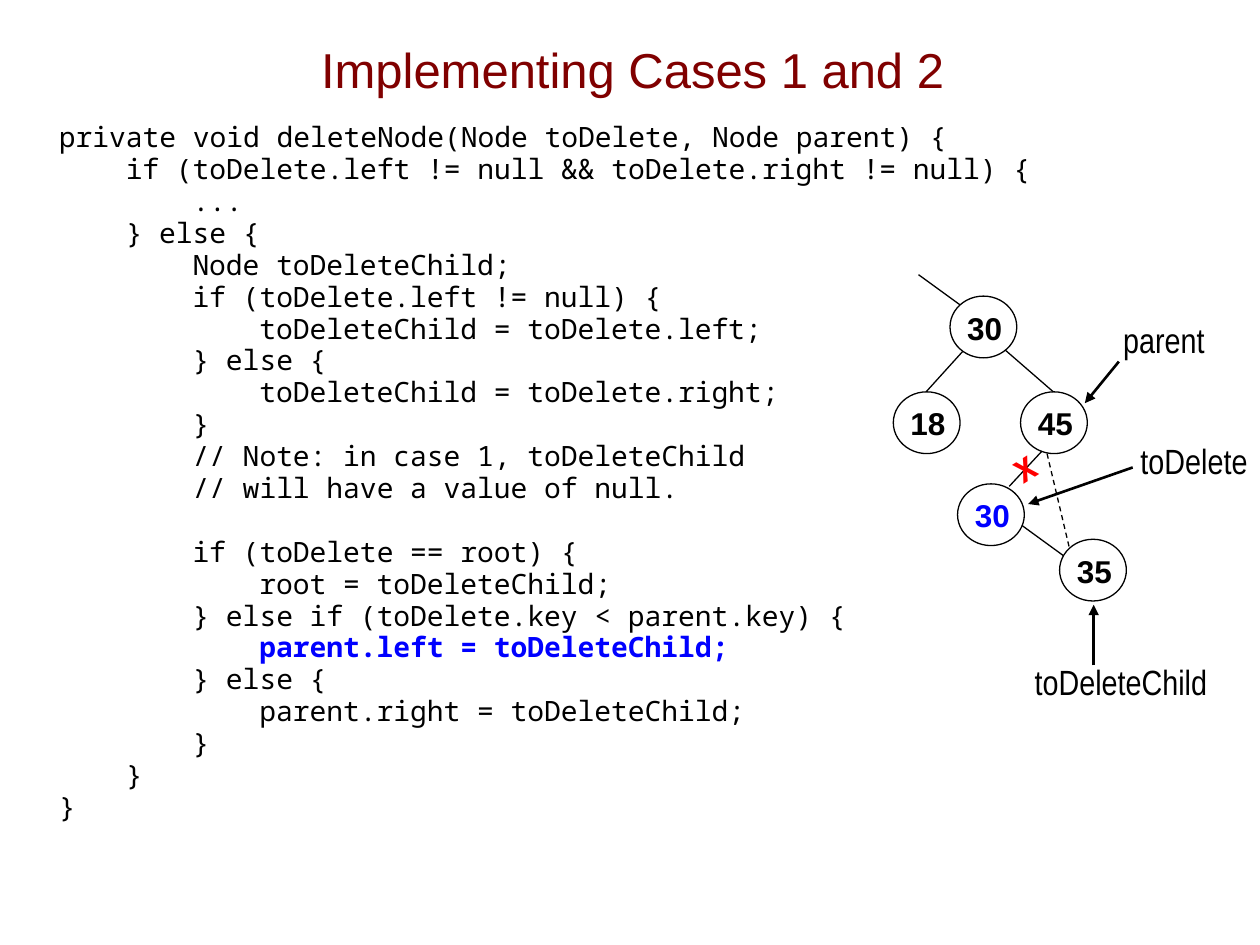
from lxml import etree
from pptx import Presentation
from pptx.dml.color import RGBColor
from pptx.enum.dml import MSO_LINE
from pptx.enum.shapes import MSO_CONNECTOR, MSO_SHAPE
from pptx.enum.text import MSO_ANCHOR, MSO_AUTO_SIZE, PP_ALIGN
from pptx.oxml.ns import qn
from pptx.util import Inches, Pt

COLORS = {"title": "800000", "ink": "000000", "paper": "FFFFFF",
          "focus": "0000FF", "cross": "FF0000"}
INDENT = 0.53
NODE_WIDTH, NODE_HEIGHT = 0.53, 0.49
HIGHLIGHT = "parent.left = toDeleteChild;"
AFTER_GAP = "if (toDelete == root) {"

CODE = [
    (0, "private void deleteNode(Node toDelete, Node parent) {"),
    (1, "if (toDelete.left != null && toDelete.right != null) {"),
    (2, "..."),
    (1, "} else {"),
    (2, "Node toDeleteChild;"),
    (2, "if (toDelete.left != null) {"),
    (3, "toDeleteChild = toDelete.left;"),
    (2, "} else {"),
    (3, "toDeleteChild = toDelete.right;"),
    (2, "}"),
    (2, "// Note: in case 1, toDeleteChild"),
    (2, "// will have a value of null."),
    (2, AFTER_GAP),
    (3, "root = toDeleteChild;"),
    (2, "} else if (toDelete.key < parent.key) {"),
    (3, HIGHLIGHT),
    (2, "} else {"),
    (3, "parent.right = toDeleteChild;"),
    (2, "}"),
    (1, "}"),
    (0, "}"),
]
NODES = [
    ("30", 7.54, 2.35, "ink"),
    ("18", 7.09, 3.11, "ink"),
    ("45", 8.1, 3.11, "ink"),
    ("35", 8.41, 4.28, "ink"),
    ("30", 7.6, 3.84, "focus"),
]
EDGES = [
    (7.29, 2.18, 7.62, 2.42),
    (7.64, 2.79, 7.35, 3.11),
    (7.98, 2.78, 8.36, 3.11),
    (8.27, 3.58, 8.01, 3.86),
    (8.11, 4.17, 8.44, 4.41),
]
POINTERS = [
    ("parent", (8.81, 2.48, 0.85, 0.43), (8.88, 2.87, 8.61, 3.2)),
    ("toDelete", (8.95, 3.44, 1.05, 0.43), (8.99, 3.71, 8.16, 4)),
    ("toDeleteChild", (8.11, 5.19, 1.57, 0.43), (8.68, 5.28, 8.68, 4.8)),
]


def rgb(name):
    return RGBColor.from_string(COLORS[name])


class SlideBuilder:
    def __init__(self, slide):
        self.slide = slide

    def style(self, paragraph, size, font, color="ink", bold=False):
        for run in paragraph.runs:
            run.font.size = Pt(size)
            run.font.name = font
            run.font.bold = bold
            run.font.color.rgb = rgb(color)

    def text(self, text, box, size, font, color="ink", bold=False,
             align=PP_ALIGN.CENTER, wrap=True):
        shape = self.slide.shapes.add_textbox(*map(Inches, box))
        text_frame = shape.text_frame
        text_frame.text = text
        text_frame.word_wrap = wrap
        if not wrap:
            text_frame.auto_size = MSO_AUTO_SIZE.SHAPE_TO_FIT_TEXT
        paragraph = text_frame.paragraphs[0]
        paragraph.alignment = align
        self.style(paragraph, size, font, color, bold)
        return shape

    def code(self, lines, box):
        shape = self.slide.shapes.add_textbox(*map(Inches, box))
        text_frame = shape.text_frame
        text_frame.word_wrap = True
        for index, (level, line) in enumerate(lines):
            paragraph = text_frame.add_paragraph() if index else text_frame.paragraphs[0]
            paragraph.text = line
            paragraph.line_spacing = 0.95
            if line == AFTER_GAP:
                paragraph.space_before = Pt(18.2)
            properties = paragraph._p.get_or_add_pPr()
            properties.set("marL", str(Inches(level * INDENT)))
            marked = line == HIGHLIGHT
            self.style(paragraph, 16, "Noto Sans Mono", "focus" if marked else "ink", marked)

    def node(self, key, left, top, color):
        label = self.text(key, (left - 0.03, top + 0.05, 0.61, 0.41), 18, "Arial", color, True)
        label.fill.solid()
        label.fill.fore_color.rgb = rgb("paper")
        circle = self.slide.shapes.add_shape(
            MSO_SHAPE.OVAL, Inches(left), Inches(top), Inches(NODE_WIDTH), Inches(NODE_HEIGHT))
        circle.shadow.inherit = False
        circle.fill.background()
        circle.line.color.rgb = rgb("ink")
        circle.line.width = Pt(0.75)

    def line(self, ends, width=0.75, dashed=False, arrow=False):
        connector = self.slide.shapes.add_connector(MSO_CONNECTOR.STRAIGHT, *map(Inches, ends))
        connector.line.color.rgb = rgb("ink")
        connector.line.width = Pt(width)
        if dashed:
            connector.line.dash_style = MSO_LINE.DASH
        if arrow:
            outline = connector.line._get_or_add_ln()
            etree.SubElement(outline, qn("a:tailEnd"), type="triangle")
        etree.SubElement(connector._element.spPr, qn("a:effectLst"))


def main():
    presentation = Presentation()
    presentation.slide_width = Inches(10)
    presentation.slide_height = Inches(7.5)
    builder = SlideBuilder(presentation.slides.add_slide(presentation.slide_layouts[6]))

    title = builder.text("Implementing Cases 1 and 2", (0.43, 0.08, 9.18, 0.93),
                         28, "Arial", "title")
    title.text_frame.vertical_anchor = MSO_ANCHOR.MIDDLE
    builder.code(CODE, (0.37, 0.92, 9.63, 6.14))

    for node in NODES:
        builder.node(*node)
    for edge in EDGES:
        builder.line(edge)
    builder.line((8.31, 3.6, 8.49, 4.36), dashed=True)
    for name, box, ends in POINTERS:
        builder.text(name, box, 20, "Arial Narrow", align=PP_ALIGN.RIGHT, wrap=False)
        builder.line(ends, width=1.5, arrow=True)
    cross = builder.text("x", (7.94, 3.44, 0.35, 0.5), 24, "Arial Narrow", "cross", True,
                         PP_ALIGN.RIGHT, False)
    cross.rotation = 327.9

    presentation.save("out.pptx")


if __name__ == "__main__":
    main()
